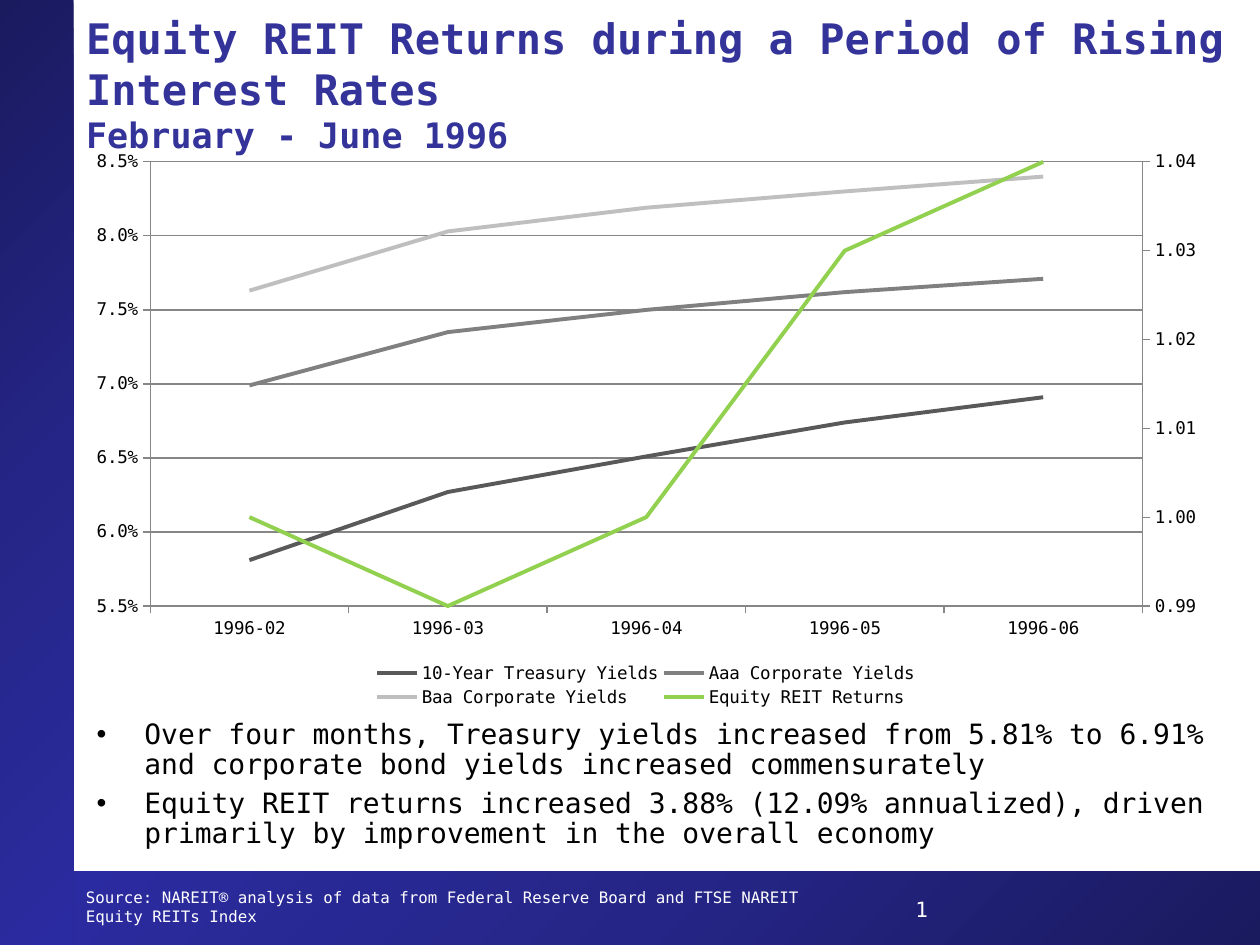
"""Build a slide on equity REIT returns while interest rates rise."""
from copy import deepcopy
from typing import NamedTuple

from pptx import Presentation
from pptx.chart.data import CategoryChartData
from pptx.dml.color import RGBColor
from pptx.enum.chart import XL_CHART_TYPE, XL_LEGEND_POSITION, XL_TICK_MARK
from pptx.enum.shapes import MSO_SHAPE
from pptx.enum.text import MSO_ANCHOR, MSO_AUTO_SIZE, PP_ALIGN
from pptx.oxml import parse_xml
from pptx.oxml.ns import nsdecls, qn
from pptx.util import Inches, Pt

LINE_CHART = XL_CHART_TYPE.LINE
LEGEND_BOTTOM = XL_LEGEND_POSITION.BOTTOM
TICK_OUTSIDE = XL_TICK_MARK.OUTSIDE
RECTANGLE = MSO_SHAPE.RECTANGLE
MIDDLE, TOP = MSO_ANCHOR.MIDDLE, MSO_ANCHOR.TOP
NO_AUTOFIT = MSO_AUTO_SIZE.NONE
LEFT = PP_ALIGN.LEFT

FONT = "DejaVu Sans Mono"
WHITE = RGBColor(0xFF, 0xFF, 0xFF)
BLACK = RGBColor(0x00, 0x00, 0x00)
TITLE_BLUE = RGBColor(0x33, 0x33, 0x99)
AXIS_GRAY = RGBColor(0x86, 0x86, 0x86)
BAR_STOPS = (
    (0, RGBColor(0x1A, 0x1A, 0x5F)),
    (0.5, RGBColor(0x25, 0x25, 0x87)),
    (1, RGBColor(0x2B, 0x2B, 0xA1)),
)

WIDTH, HEIGHT = Inches(10), Inches(7.5)
COLUMNS, ROWS = 120, 90


class Area(NamedTuple):
    """A box in columns and rows of the slide grid."""

    column: float
    row: float
    columns: float
    rows: float

    def lengths(self) -> tuple[int, int, int, int]:
        """Return left, top, width and height."""
        return (
            int(WIDTH * self.column / COLUMNS),
            int(HEIGHT * self.row / ROWS),
            int(WIDTH * self.columns / COLUMNS),
            int(HEIGHT * self.rows / ROWS),
        )


class Bar(NamedTuple):
    """A gradient bar of the frame, with a counter-clockwise angle."""

    area: Area
    angle: int


class Note(NamedTuple):
    """A footer text."""

    area: Area
    text: str
    size: int


class Series(NamedTuple):
    """A line of the chart."""

    name: str
    color: RGBColor
    values: tuple[float, ...]


BARS = (
    Bar(Area(6, 83, 114, 7), 135),
    Bar(Area(0, 0, 7, 90), 315),
)
NOTES = (
    Note(Area(86, 84.8, 25, 3), "1", 12),
    Note(
        Area(7, 84, 74, 3),
        "Source: NAREIT® analysis of data from Federal Reserve Board and FTSE NAREIT Equity REITs Index",
        9,
    ),
)
TITLE_AREA = Area(7, 0, 113, 16)
TITLE_RUNS = (
    ("Equity REIT Returns during a Period of Rising Interest Rates", 24),
    ("February - June 1996", 20),
)
BODY_AREA = Area(8, 68, 110, 16)
BULLETS = (
    "Over four months, Treasury yields increased from 5.81% to 6.91% and corporate bond yields increased commensurately",
    "Equity REIT returns increased 3.88% (12.09% annualized), driven primarily by improvement in the overall economy",
)
CHART_AREA = Area(7, 13.4, 109, 54.6)
PLOT_LAYOUT = (0.067, 0.037, 0.867, 0.775)
LEGEND_LAYOUT = (0.26, 0.905, 0.48, 0.09)
MONTHS = tuple(f"1996-{month:02}" for month in range(2, 7))
SERIES = (
    Series("10-Year Treasury Yields", RGBColor(0x59, 0x59, 0x59), (0.0581, 0.0627, 0.0651, 0.0674, 0.0691)),
    Series("Aaa Corporate Yields", RGBColor(0x80, 0x80, 0x80), (0.0699, 0.0735, 0.075, 0.0762, 0.0771)),
    Series("Baa Corporate Yields", RGBColor(0xBF, 0xBF, 0xBF), (0.0763, 0.0803, 0.0819, 0.083, 0.084)),
    Series("Equity REIT Returns", RGBColor(0x92, 0xD0, 0x50), (1, 0.99, 1, 1.03, 1.04)),
)


def set_font(font, size: float, color: RGBColor, bold: bool = False) -> None:
    """Set the slide's typeface with a size and colour."""
    font.name, font.size, font.bold = FONT, Pt(size), bold
    font.color.rgb = color


def place(shape, area: Area) -> None:
    """Move a shape onto the grid."""
    shape.left, shape.top, shape.width, shape.height = area.lengths()


def add_bar(slide, bar: Bar, depth: int) -> None:
    """Draw a gradient bar behind the placeholders."""
    shape = slide.shapes.add_shape(RECTANGLE, *bar.area.lengths())
    shape.shadow.inherit = False
    shape.line.fill.background()
    shape.fill.gradient()
    shape.fill.gradient_angle = bar.angle
    first_stop = shape._element.spPr.find(".//" + qn("a:gs"))
    first_stop.addnext(deepcopy(first_stop))
    for stop, (position, color) in zip(shape.fill.gradient_stops, BAR_STOPS):
        stop.position = position
        stop.color.rgb = color
    slide.shapes._spTree.insert(2 + depth, shape._element)


def add_note(slide, note: Note) -> None:
    """Write a footer text."""
    frame = slide.shapes.add_textbox(*note.area.lengths()).text_frame
    frame.word_wrap = True
    paragraph = frame.paragraphs[0]
    paragraph.text = note.text
    set_font(paragraph.font, note.size, WHITE)


def fill_title(shape) -> None:
    """Write the two-size title."""
    place(shape, TITLE_AREA)
    frame = shape.text_frame
    frame.auto_size, frame.vertical_anchor = NO_AUTOFIT, MIDDLE
    paragraph = frame.paragraphs[0]
    paragraph.alignment = LEFT
    for index, (text, size) in enumerate(TITLE_RUNS):
        if index:
            paragraph.add_line_break()
        run = paragraph.add_run()
        run.text = text
        set_font(run.font, size, TITLE_BLUE, True)


def fill_body(shape) -> None:
    """Write the bulleted list."""
    place(shape, BODY_AREA)
    frame = shape.text_frame
    frame.auto_size, frame.vertical_anchor = NO_AUTOFIT, TOP
    for index, text in enumerate(BULLETS):
        paragraph = frame.add_paragraph() if index else frame.paragraphs[0]
        paragraph.text = text
        paragraph.line_spacing = 0.9
        paragraph.space_before = Pt(4.8 if index else 0)
        properties = paragraph._p.get_or_add_pPr()
        properties.set("marL", str(Inches(0.38)))
        properties.set("indent", str(-Inches(0.38)))
        properties.append(parse_xml(f'<a:buChar {nsdecls("a")} char="•"/>'))
        set_font(paragraph.font, 16, BLACK)


def set_layout(element, index: int, shares: tuple[float, ...], inner: bool = False) -> None:
    """Fix a chart part at shares of the chart's size."""
    for layout in element.findall(qn("c:layout")):
        element.remove(layout)
    target = '<c:layoutTarget val="inner"/>' if inner else ""
    modes = "".join(f'<c:{axis}Mode val="edge"/>' for axis in "xy")
    sizes = "".join(f'<c:{key} val="{share}"/>' for key, share in zip("xywh", shares))
    element.insert(index, parse_xml(
        f'<c:layout {nsdecls("c")}><c:manualLayout>{target}{modes}{sizes}</c:manualLayout></c:layout>'
    ))


def add_right_axis(plot_area) -> None:
    """Move the last series to a second value axis."""
    lines = plot_area.find(qn("c:lineChart"))
    category, value = plot_area.find(qn("c:catAx")), plot_area.find(qn("c:valAx"))
    right_lines, right_category, right_value = map(deepcopy, (lines, category, value))
    lines.remove(lines.findall(qn("c:ser"))[-1])
    for series in right_lines.findall(qn("c:ser"))[:-1]:
        right_lines.remove(series)
    lines.addnext(right_lines)
    value.addnext(right_value)
    right_value.addnext(right_category)
    for identifier, number in zip(right_lines.findall(qn("c:axId")), ("5001", "5002")):
        identifier.set("val", number)
    right_value.remove(right_value.find(qn("c:majorGridlines")))
    right_value.find(qn("c:numFmt")).set("formatCode", "#,##0.00")
    settings = (
        (right_category, {"axId": "5001", "delete": "1", "crossAx": "5002"}),
        (right_value, {"axId": "5002", "axPos": "r", "crossAx": "5001", "crosses": "max", "majorUnit": "0.01"}),
        (right_value.find(qn("c:scaling")), {"min": "0.99", "max": "1.04"}),
    )
    for element, changes in settings:
        for tag, setting in changes.items():
            element.find(qn(f"c:{tag}")).set("val", setting)


def add_yield_chart(slide) -> None:
    """Draw yields on the left axis and returns on the right axis."""
    data = CategoryChartData()
    data.categories = MONTHS
    for series in SERIES:
        data.add_series(series.name, series.values)
    chart = slide.shapes.add_chart(LINE_CHART, *CHART_AREA.lengths(), data).chart
    chart.has_title = False
    set_font(chart.font, 10, BLACK)
    plot = chart.plots[0]
    plot.vary_by_categories = False
    for line, series in zip(plot.series, SERIES):
        line.smooth = False
        line.format.line.color.rgb = series.color
        line.format.line.width = Pt(2.25)
    value_axis = chart.value_axis
    value_axis.minimum_scale, value_axis.maximum_scale, value_axis.major_unit = 0.055, 0.085, 0.005
    value_axis.tick_labels.number_format = "0.0%"
    value_axis.tick_labels.number_format_is_linked = False
    value_axis.has_major_gridlines = True
    for axis in (value_axis, chart.category_axis):
        axis.major_tick_mark = TICK_OUTSIDE
        axis.format.line.color.rgb = AXIS_GRAY
    value_axis.major_gridlines.format.line.color.rgb = AXIS_GRAY
    chart.has_legend = True
    chart.legend.position = LEGEND_BOTTOM
    chart.legend.include_in_layout = False
    plot_area = chart._chartSpace.chart.plotArea
    add_right_axis(plot_area)
    set_layout(plot_area, 0, PLOT_LAYOUT, inner=True)
    set_layout(chart.legend._element, 1, LEGEND_LAYOUT)


def main() -> None:
    """Build and save the slide."""
    presentation = Presentation()
    presentation.slide_width, presentation.slide_height = WIDTH, HEIGHT
    slide = presentation.slides.add_slide(presentation.slide_layouts[1])
    for depth, bar in enumerate(BARS):
        add_bar(slide, bar, depth)
    for note in NOTES:
        add_note(slide, note)
    fill_title(slide.shapes.title)
    fill_body(slide.placeholders[1])
    add_yield_chart(slide)
    presentation.save("out.pptx")


if __name__ == "__main__":
    main()
